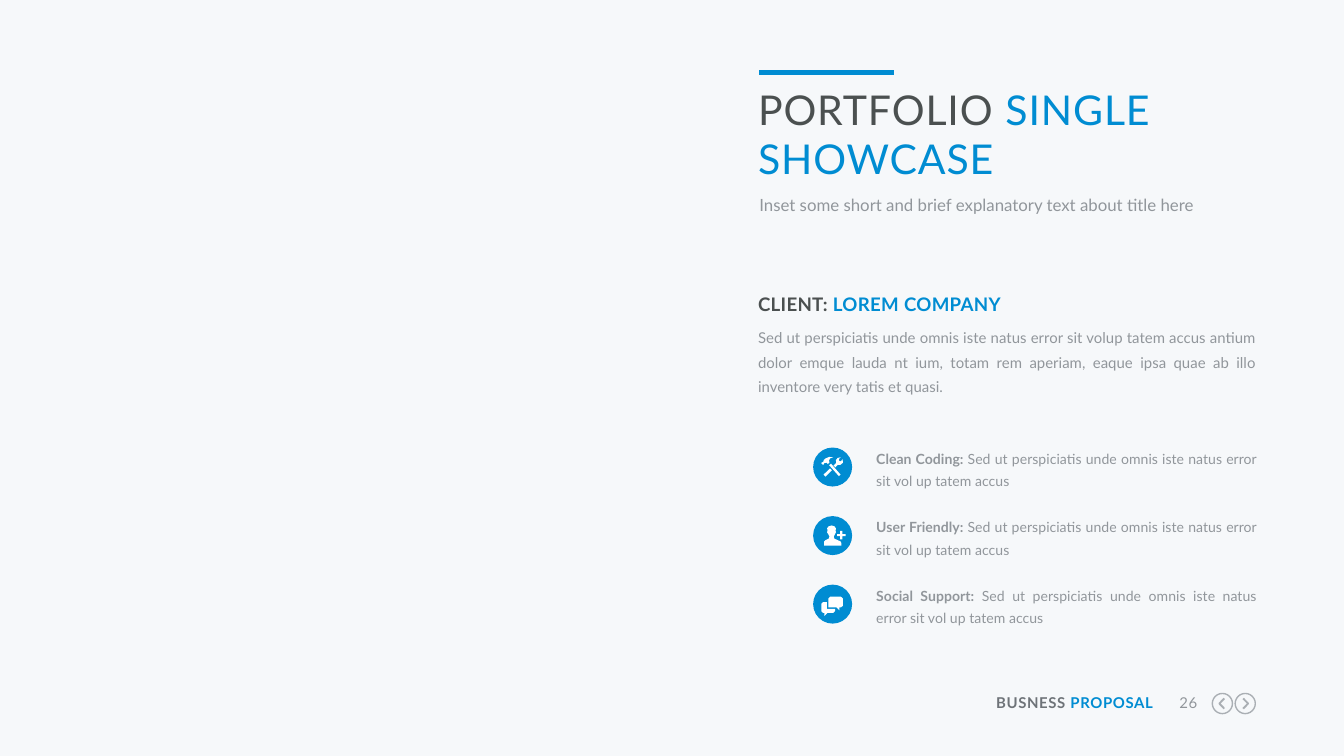
from lxml import etree
from pptx import Presentation
from pptx.dml.color import RGBColor
from pptx.enum import shapes, text
from pptx.oxml import ns
from pptx.util import Inches, Pt

# Theme: colours and type sizes
THEME = dict(
    font="Lato", back="F6F8FA", blue="008CD2", dark="4B5050", mid="6E7378",
    gray="91969B", pale="AAAFB4", white="FFFFFF",
    title=22, head=10, sub=9, body=8, item=7.5,
)

# Content: runs are (text, colour, bold)
TITLE = [("PORTFOLIO ", "dark", False), ("SINGLE SHOWCASE", "blue", False)]
SUB = [("Inset some short and brief explanatory text about title here", "gray", False)]
CLIENT = [("CLIENT: ", "dark", True), ("LOREM COMPANY", "blue", True)]
ABOUT = [("Sed ut perspiciatis unde omnis iste natus error sit volup tatem accus "
          "antium dolor emque lauda nt ium, totam rem aperiam, eaque ipsa quae ab "
          "illo inventore very tatis et quasi.", "gray", False)]
BRAND = [("BUSNESS ", "mid", True), ("PROPOSAL", "blue", True)]
PAGE = [("26", "gray", False)]
DETAIL = "Sed ut perspiciatis unde omnis iste natus error sit vol up tatem accus"

# Icon outlines, in hundredths of an inch from the disc's top left corner
TOOLS = [
    [(6, 11.5), (7.5, 13), (8.5, 11.5), (10, 11.3), (11, 12.3), (12.2, 11.2),
     (11.8, 9.5), (12.8, 8), (15, 7.2), (12, 7), (9.5, 8), (8, 9.2), (7.7, 10.5)],
    [(13.3, 12), (12, 13.2), (19.2, 21.3), (20.5, 20.2)],
    [(22, 8.7), (20.7, 10.3), (19.5, 10), (19.2, 8.7), (20.5, 7.2), (18.3, 7.8),
     (17, 9.3), (17.2, 11.5), (15.3, 13.3), (16.7, 14.7), (18.3, 13), (20.5, 12.8),
     (22.2, 11.3)],
    [(7.8, 20.2), (9.2, 21.7), (14, 17), (12.6, 15.6)],
]
USER = [
    [(8.3, 22), (8.3, 18.8), (9.5, 17.8), (11.7, 16.8), (12.2, 15.2), (11.2, 13.3),
     (10.4, 12), (10.8, 11), (10.5, 9.2), (11.5, 7.7), (13.8, 7), (16, 7.7),
     (17, 9.2), (16.8, 11), (17.1, 12), (16.4, 13.3), (15.4, 15.2), (15.8, 16.8),
     (18, 17.8), (20.5, 18.9), (21, 20), (21, 22)],
    [(18, 13.4), (20.2, 13.4), (20.2, 11), (21.8, 11), (21.8, 13.4), (24.2, 13.4),
     (24.2, 15), (21.8, 15), (21.8, 17.4), (20.2, 17.4), (20.2, 15), (18, 15)],
]
CHAT = [
    [(10.3, 13), (10.3, 18), (16.5, 18), (16.5, 19.5), (15, 21), (10.7, 21),
     (8.5, 23.2), (8.5, 21), (7.5, 21), (6.2, 19.7), (6.2, 14.3), (7.5, 13)],
    [(12.8, 9), (20.8, 9), (22.2, 10.3), (22.2, 15.7), (20.8, 17), (19.7, 17),
     (19.7, 19.2), (17.5, 17), (11.4, 17), (11.4, 10.3)],
]
ITEMS = [("Clean Coding: ", TOOLS), ("User Friendly: ", USER), ("Social Support: ", CHAT)]

# Grid, in inches
WIDTH = 10
HEIGHT = WIDTH * 9 / 16
LEFT, WIDE, TOP, STEP = 5.64, 3.71, 3.31, 0.51
DISC, NAV = 0.29, 0.15


def tint(name):
    return RGBColor.from_string(THEME[name])


def write(shape, runs, size, align="LEFT", line=None, after=0, gap=0):
    """Fill a text shape with one styled paragraph."""
    frame = shape.text_frame
    frame.word_wrap = True
    frame.auto_size = text.MSO_AUTO_SIZE.NONE
    frame.vertical_anchor = text.MSO_ANCHOR.TOP
    frame.margin_left = frame.margin_right = frame.margin_top = frame.margin_bottom = 0
    para = frame.paragraphs[0]
    para.alignment = getattr(text.PP_ALIGN, align)
    para.line_spacing = Pt(line) if line else 1.0
    para.space_before, para.space_after = Pt(0), Pt(after)
    for words, color, bold in runs:
        run = para.add_run()
        run.text = words
        font = run.font
        font.name, font.size, font.bold = THEME["font"], Pt(THEME[size]), bold
        font.color.rgb = tint(color)
        if gap:
            font._element.set("spc", str(int(gap * 100)))


def label(slide, box, runs, size, **style):
    write(slide.shapes.add_textbox(*map(Inches, box)), runs, size, **style)


def circle(slide, x, y, size):
    disc = slide.shapes.add_shape(shapes.MSO_SHAPE.OVAL, *map(Inches, (x, y, size, size)))
    disc.shadow.inherit = False
    return disc


def outline(slide, x, y, loops, close=True):
    """Draw loops of hundredths of an inch from x, y as one shape."""
    pen = None
    for loop in loops:
        pts = [(Inches(x + a / 100), Inches(y + b / 100)) for a, b in loop]
        if pen is None:
            pen = slide.shapes.build_freeform(*pts[0])
        else:
            pen.move_to(*pts[0])
        pen.add_line_segments(pts[1:], close=close)
    form = pen.convert_to_shape()
    form.shadow.inherit = False
    return form


def stroke(shape, color, width):
    shape.fill.background()
    shape.line.color.rgb = tint(color)
    shape.line.width = Pt(width)


def main():
    deck = Presentation()
    deck.slide_width, deck.slide_height = Inches(WIDTH), Inches(HEIGHT)
    slide = deck.slides.add_slide(deck.slide_layouts[5])
    slide.background.fill.solid()
    slide.background.fill.fore_color.rgb = tint("back")

    # Accent rule
    rule = slide.shapes.add_connector(
        shapes.MSO_CONNECTOR.STRAIGHT, *map(Inches, (5.65, 0.54, 6.65, 0.54)))
    rule.line.color.rgb = tint("blue")
    rule.line.width = Pt(2.25)
    etree.SubElement(rule._element.spPr, ns.qn("a:effectLst"))

    # Title and subtitle
    title = slide.shapes.title
    title.left, title.top, title.width, title.height = map(Inches, (LEFT, 0.63, WIDE, 0.75))
    write(title, TITLE, "title", gap=0.5)
    label(slide, (5.65, 1.43, WIDE, 0.15), SUB, "sub", line=12)

    # Client
    label(slide, (LEFT, 2.11, WIDE, 0.24), CLIENT, "head", line=17, after=6, gap=0.2)
    label(slide, (LEFT, 2.4, WIDE, 0.53), ABOUT, "body", align="JUSTIFY", line=13, after=6)

    # Feature rows
    for i, (name, icon) in enumerate(ITEMS):
        y = TOP + i * STEP
        disc = circle(slide, 6.05, y + 0.02, DISC)
        mark = outline(slide, 6.05, y + 0.02, icon)
        for part, color in ((disc, "blue"), (mark, "white")):
            part.fill.solid()
            part.fill.fore_color.rgb = tint(color)
            part.line.fill.background()
        label(slide, (6.52, y, 2.83, 0.32),
              [(name, "gray", True), (DETAIL, "gray", False)],
              "item", align="JUSTIFY", line=12, after=6)

    # Footer
    label(slide, (7.31, 5.16, 1.27, 0.13), BRAND, "body", align="RIGHT", gap=0.3)
    label(slide, (8.68, 5.16, 0.23, 0.13), PAGE, "body", align="RIGHT", gap=0.3)
    for x, way in ((9.02, -1), (9.19, 1)):
        stroke(circle(slide, x, 5.16, NAV), "pale", 0.75)
        tip = [(7.5 + way * a, b) for a, b in ((-1.5, 3.7), (2.2, 7.5), (-1.5, 11.3))]
        stroke(outline(slide, x, 5.16, [tip], close=False), "pale", 1)

    deck.save("out.pptx")


if __name__ == "__main__":
    main()
